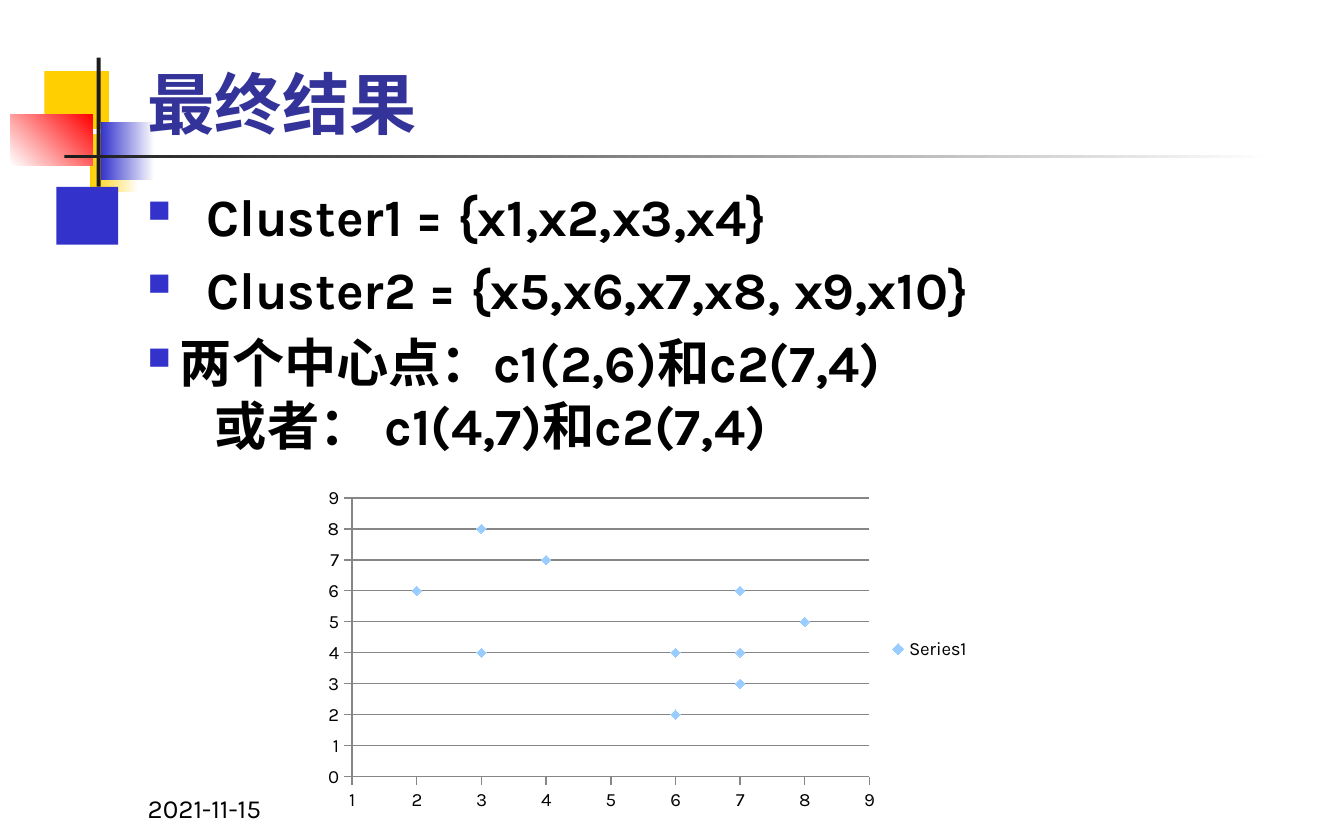
import pptx
import pptx.chart.data
import pptx.dml.color
import pptx.enum.chart
import pptx.enum.shapes
import pptx.enum.text
import pptx.oxml
import pptx.oxml.ns
import pptx.util
from dataclasses import dataclass
from lxml import etree

Inches = pptx.util.Inches
Pt = pptx.util.Pt
qn = pptx.oxml.ns.qn


@dataclass(frozen=True)
class Theme:
    font: str = "Karla"
    white: str = "FFFFFF"
    black: str = "000000"
    yellow: str = "FFCF01"
    blue: str = "3333CC"
    red: str = "FF0000"
    rule: str = "1C1C1C"
    title: str = "333399"
    marker: str = "99CCFF"
    axis: str = "868686"
    title_size: int = 36
    body_size: int = 28
    date_size: int = 14
    chart_size: int = 10


THEME = Theme()

# left, top, width, height, colour stops, gradient angle
ORNAMENTS = [
    (0.33, 0.53, 0.48, 0.43, [THEME.yellow], 0),
    (0.67, 1, 0.36, 0.43, [THEME.yellow, THEME.white], 0),
    (0.42, 1.39, 0.46, 0.43, [THEME.blue], 0),
    (0.75, 0.91, 0.4, 0.43, [THEME.blue, THEME.white], 0),
    (0.08, 0.85, 0.61, 0.38, [THEME.white, THEME.red], 45),
    (0.72, 0.43, 0.03, 0.96, [THEME.rule], 0),
    (0.48, 1.15, 9, 0.03, [THEME.rule, THEME.white], 0),
]

# Each bullet is a list of lines
FINDINGS = [
    ["  Cluster1 = {x1,x2,x3,x4}"],
    ["  Cluster2 = {x5,x6,x7,x8, x9,x10}"],
    ["两个中心点：c1(2,6)和c2(7,4) ", "\t或者： c1(4,7)和c2(7,4)"],
]

POINTS = [(2, 6), (3, 4), (3, 8), (4, 7), (6, 2),
          (6, 4), (7, 3), (7, 4), (8, 5), (7, 6)]


def rgb(colour):
    return pptx.dml.color.RGBColor.from_string(colour)


def add_block(slide, left, top, width, height, colours, angle):
    block = slide.shapes.add_shape(
        pptx.enum.shapes.MSO_SHAPE.RECTANGLE,
        Inches(left), Inches(top), Inches(width), Inches(height))
    block.shadow.inherit = False
    block.line.fill.background()
    if len(colours) == 1:
        block.fill.solid()
        block.fill.fore_color.rgb = rgb(colours[0])
        return
    block.fill.gradient()
    block.fill.gradient_angle = angle
    for stop, colour, position in zip(block.fill.gradient_stops, colours, (0, 1)):
        stop.color.rgb = rgb(colour)
        stop.position = position


def add_text_frame(slide, left, top, width, height, anchor):
    frame = slide.shapes.add_textbox(
        Inches(left), Inches(top), Inches(width), Inches(height)).text_frame
    frame.word_wrap = True
    frame.vertical_anchor = anchor
    return frame


def add_run(paragraph, text, size, colour, bold):
    run = paragraph.add_run()
    run.text = text
    run.font.name = THEME.font
    run.font.size = Pt(size)
    run.font.bold = bold
    run.font.color.rgb = rgb(colour)
    # East Asian text uses the same typeface
    latin = run.font._element.find(qn("a:latin"))
    east_asian = etree.Element(qn("a:ea"), typeface=THEME.font)
    latin.addnext(east_asian)


def add_bullet(paragraph):
    properties = paragraph._p.get_or_add_pPr()
    properties.set("marL", str(Inches(0.24)))
    properties.set("indent", str(Inches(-0.24)))
    colour = etree.SubElement(properties, qn("a:buClr"))
    etree.SubElement(colour, qn("a:srgbClr"), val=THEME.blue)
    etree.SubElement(properties, qn("a:buSzPct"), val="60000")
    etree.SubElement(properties, qn("a:buChar"), char="■")


def add_findings(slide):
    frame = add_text_frame(slide, 1, 1.32, 8.79, 4.44,
                           pptx.enum.text.MSO_ANCHOR.TOP)
    for index, lines in enumerate(FINDINGS):
        finding = frame.add_paragraph() if index else frame.paragraphs[0]
        add_bullet(finding)
        if index:
            finding.space_before = Pt(0.2 * THEME.body_size)
        for number, line in enumerate(lines):
            if number:
                finding.add_line_break()
            add_run(finding, line, THEME.body_size, THEME.black, True)


def style_axis(axis, low, high, has_grid):
    axis.minimum_scale, axis.maximum_scale, axis.major_unit = low, high, 1
    axis.major_tick_mark = pptx.enum.chart.XL_TICK_MARK.OUTSIDE
    axis.has_major_gridlines = has_grid
    lines = [axis.format.line]
    if has_grid:
        lines.append(axis.major_gridlines.format.line)
    for line in lines:
        line.color.rgb = rgb(THEME.axis)
        line.width = Pt(0.75)


def place_plot(chart, **fractions):
    plot_area = chart._chartSpace.chart.plotArea
    for old in plot_area.findall(qn("c:layout")):
        plot_area.remove(old)
    layout = etree.Element(qn("c:layout"))
    manual = etree.SubElement(layout, qn("c:manualLayout"))
    settings = {"layoutTarget": "inner", "xMode": "edge", "yMode": "edge"}
    for tag, value in {**settings, **fractions}.items():
        etree.SubElement(manual, qn("c:" + tag), val=str(value))
    plot_area.insert(0, layout)


def add_scatter(slide):
    data = pptx.chart.data.XyChartData()
    clusters = data.add_series("Series1")
    for x, y in POINTS:
        clusters.add_data_point(x, y)
    chart = slide.shapes.add_chart(
        pptx.enum.chart.XL_CHART_TYPE.XY_SCATTER,
        Inches(2.32), Inches(3.58), Inches(5), Inches(2.5), data).chart
    chart.font.name = THEME.font
    chart.font.size = Pt(THEME.chart_size)
    chart.font.color.rgb = rgb(THEME.black)
    chart.has_title = False
    chart.has_legend = True
    chart.legend.position = pptx.enum.chart.XL_LEGEND_POSITION.RIGHT
    chart.legend.include_in_layout = False
    chart.plots[0].vary_by_categories = False
    style_axis(chart.category_axis, 1, 9, False)
    style_axis(chart.value_axis, 0, 9, True)
    place_plot(chart, x=0.06, y=0.05, w=0.77, h=0.83)

    # Diamonds without a joining line
    series = chart.plots[0].series[0]
    series.smooth = False
    series.format.line.fill.background()
    series.marker.style = pptx.enum.chart.XL_MARKER_STYLE.DIAMOND
    series.marker.size = 5
    series.marker.format.fill.solid()
    series.marker.format.fill.fore_color.rgb = rgb(THEME.marker)
    series.marker.format.line.color.rgb = rgb(THEME.marker)


def main():
    deck = pptx.Presentation()
    deck.slide_width, deck.slide_height = Inches(10), Inches(6.25)
    slide = deck.slides.add_slide(deck.slide_layouts[6])
    bottom = pptx.enum.text.MSO_ANCHOR.BOTTOM

    # Corner ornament and title rule
    for ornament in ORNAMENTS:
        add_block(slide, *ornament)

    # Title, findings and date
    title = add_text_frame(slide, 1, 0.14, 8.78, 0.97, bottom)
    add_run(title.paragraphs[0], "最终结果", THEME.title_size, THEME.title, True)
    add_findings(slide)
    date = add_text_frame(slide, 1, 5.9, 2.08, 0.28, bottom)
    add_run(date.paragraphs[0], "2021-11-15", THEME.date_size, THEME.black, False)

    # Cluster points
    add_scatter(slide)
    deck.save("out.pptx")


if __name__ == "__main__":
    main()
